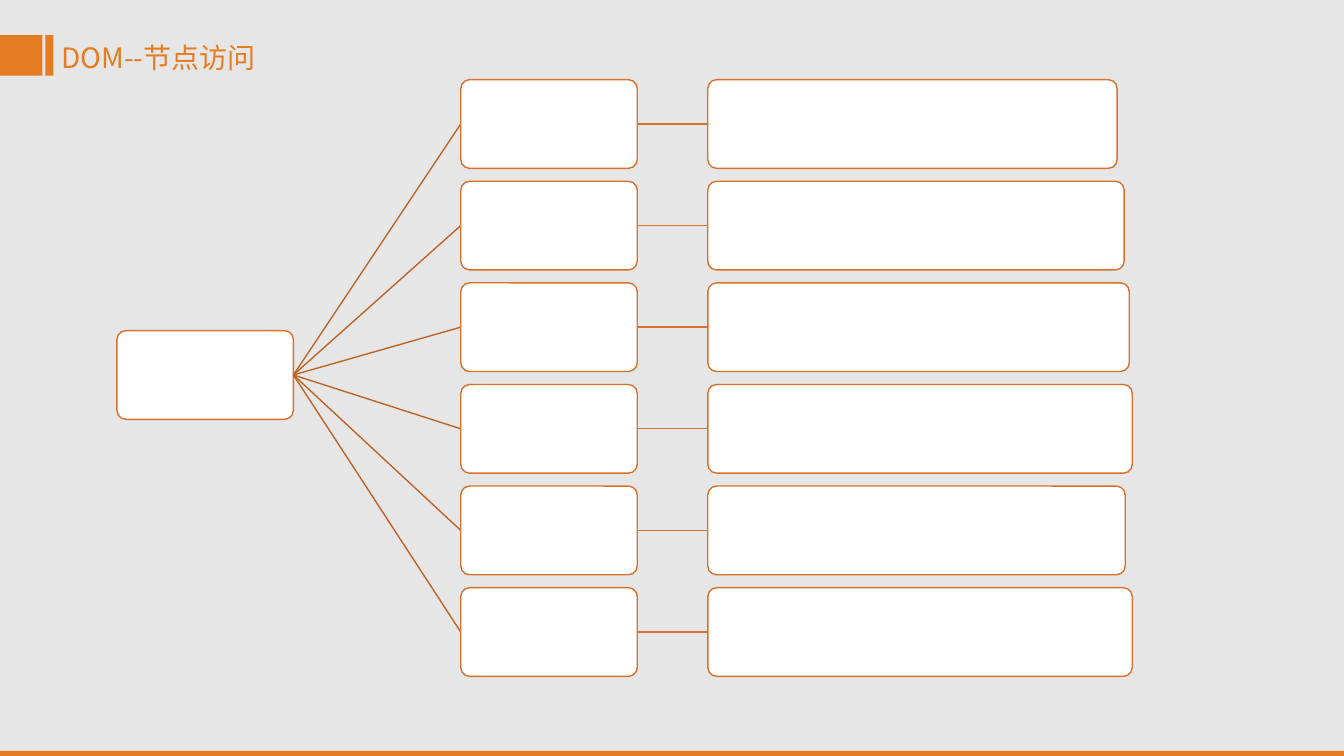
from pptx import Presentation
from pptx.dml.color import RGBColor
from pptx.enum.shapes import MSO_CONNECTOR, MSO_SHAPE
from pptx.enum.text import MSO_AUTO_SIZE
from pptx.oxml.ns import qn
from pptx.util import Inches, Pt
from lxml import etree

RECT = MSO_SHAPE.RECTANGLE
ROUNDED = MSO_SHAPE.ROUNDED_RECTANGLE
STRAIGHT = MSO_CONNECTOR.STRAIGHT
FIT_SHAPE = MSO_AUTO_SIZE.SHAPE_TO_FIT_TEXT

THEME = {
    "background": RGBColor.from_string("E7E6E6"),
    "panel": RGBColor.from_string("E6E6E6"),
    "accent": RGBColor.from_string("E67C22"),
    "node": RGBColor.from_string("FFFFFF"),
    "outline": RGBColor.from_string("D7712C"),
    "branch": RGBColor.from_string("BE6427"),
    "font": "Noto Sans CJK SC",
    "title_size": Pt(20),
    "line_width": Pt(1),
}

# Grid of the tree: three columns, six equally spaced rows
SLIDE_W, SLIDE_H = 13.33, 7.5
ROOT_X, CHILD_X, DETAIL_X = 1.16, 4.57, 7.02
NODE_W, NODE_H = 1.75, 0.88
FIRST_Y, LAST_Y = 0.79, 5.83
ROOT_Y = 3.28
DETAIL_WIDTHS = [4.06, 4.13, 4.18, 4.21, 4.14, 4.21]
ROW_STEP = (LAST_Y - FIRST_Y) / (len(DETAIL_WIDTHS) - 1)

prs = Presentation()
prs.slide_width, prs.slide_height = Inches(SLIDE_W), Inches(SLIDE_H)
slide = prs.slides.add_slide(prs.slide_layouts[6])
slide.background.fill.solid()
slide.background.fill.fore_color.rgb = THEME["background"]


def add_box(kind, left, top, width, height, fill, outline=None):
    box = slide.shapes.add_shape(
        kind, Inches(left), Inches(top), Inches(width), Inches(height))
    box.shadow.inherit = False
    box.fill.solid()
    box.fill.fore_color.rgb = THEME[fill]
    if outline:
        box.adjustments[0] = 0.1
        box.line.color.rgb = THEME[outline]
        box.line.width = THEME["line_width"]
    else:
        box.line.fill.background()


def add_link(x1, y1, x2, y2, color):
    link = slide.shapes.add_connector(
        STRAIGHT, Inches(x1), Inches(y1), Inches(x2), Inches(y2))
    link.line.color.rgb = THEME[color]
    link.line.width = THEME["line_width"]
    etree.SubElement(link._element.spPr, qn("a:effectLst"))


# Content panels
for panel_x in (6.85, 0.51):
    add_box(RECT, panel_x, 1.04, 6.07, 6.23, "panel")

# Title marker and footer bar
add_box(RECT, 0, 0.35, 0.42, 0.4, "accent")
add_box(RECT, 0.45, 0.35, 0.08, 0.4, "accent")
add_box(RECT, 0, 7.45, SLIDE_W, 0.08, "accent")

# Title
title = slide.shapes.add_textbox(
    Inches(0.51), Inches(0.35), Inches(2.28), Inches(0.44))
title.text_frame.word_wrap = False
title.text_frame.auto_size = FIT_SHAPE
title.text_frame.text = "DOM--节点访问"
title_run = title.text_frame.paragraphs[0].runs[0]
title_run.font.size = THEME["title_size"]
title_run.font.name = THEME["font"]
title_run.font.color.rgb = THEME["accent"]
east_asian = etree.SubElement(title_run.font._element, qn("a:ea"))
east_asian.set("typeface", THEME["font"])

# Root node
add_box(ROUNDED, ROOT_X, ROOT_Y, NODE_W, NODE_H, "node", "outline")

# Child nodes, each linked to the root and to its detail
for row, detail_w in enumerate(DETAIL_WIDTHS):
    top = FIRST_Y + row * ROW_STEP
    middle = top + NODE_H / 2
    add_link(ROOT_X + NODE_W, ROOT_Y + NODE_H / 2, CHILD_X, middle, "branch")
    add_box(ROUNDED, CHILD_X, top, NODE_W, NODE_H, "node", "outline")
    add_link(CHILD_X + NODE_W, middle, DETAIL_X, middle, "outline")
    add_box(ROUNDED, DETAIL_X, top, detail_w, NODE_H, "node", "outline")

prs.save("out.pptx")
